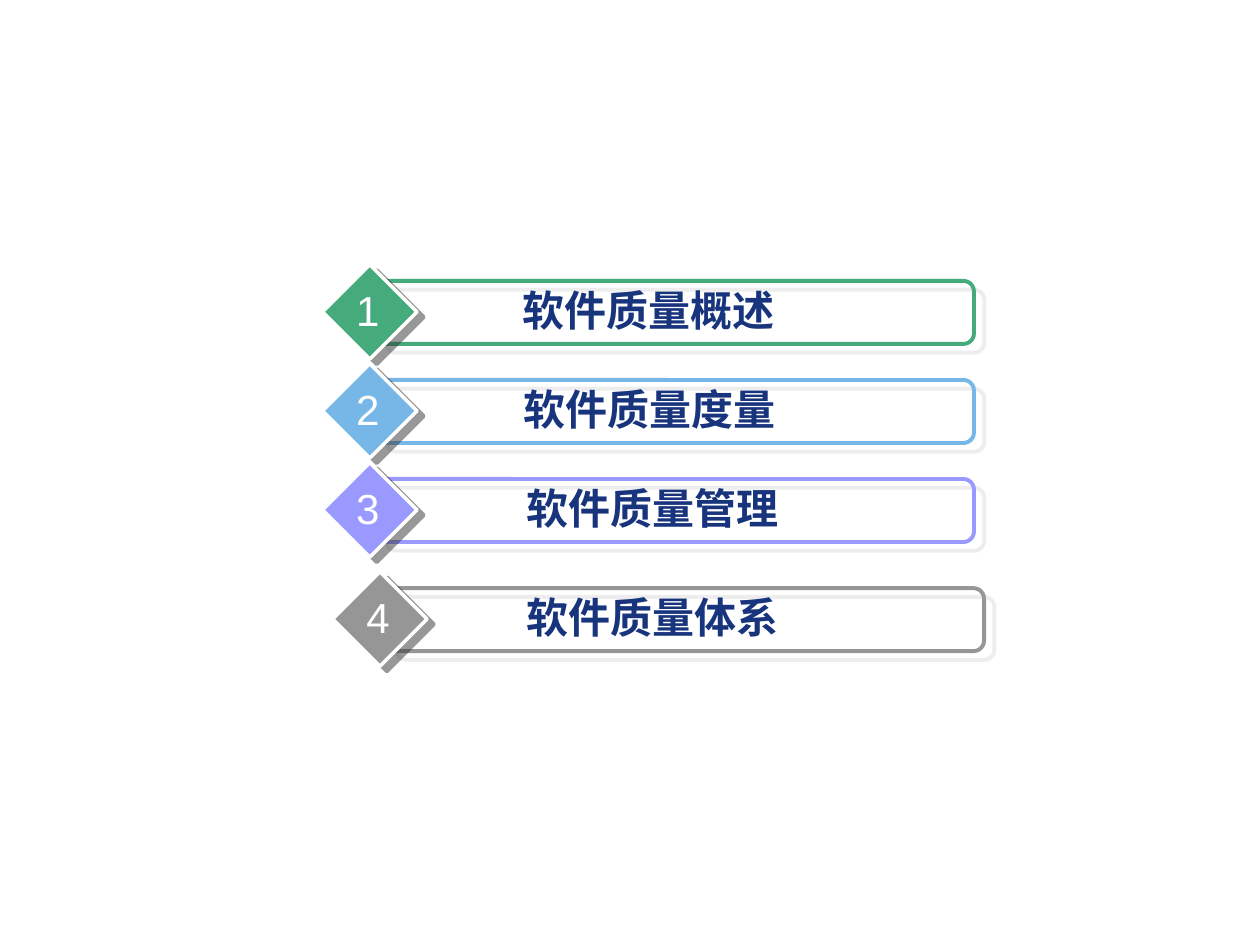
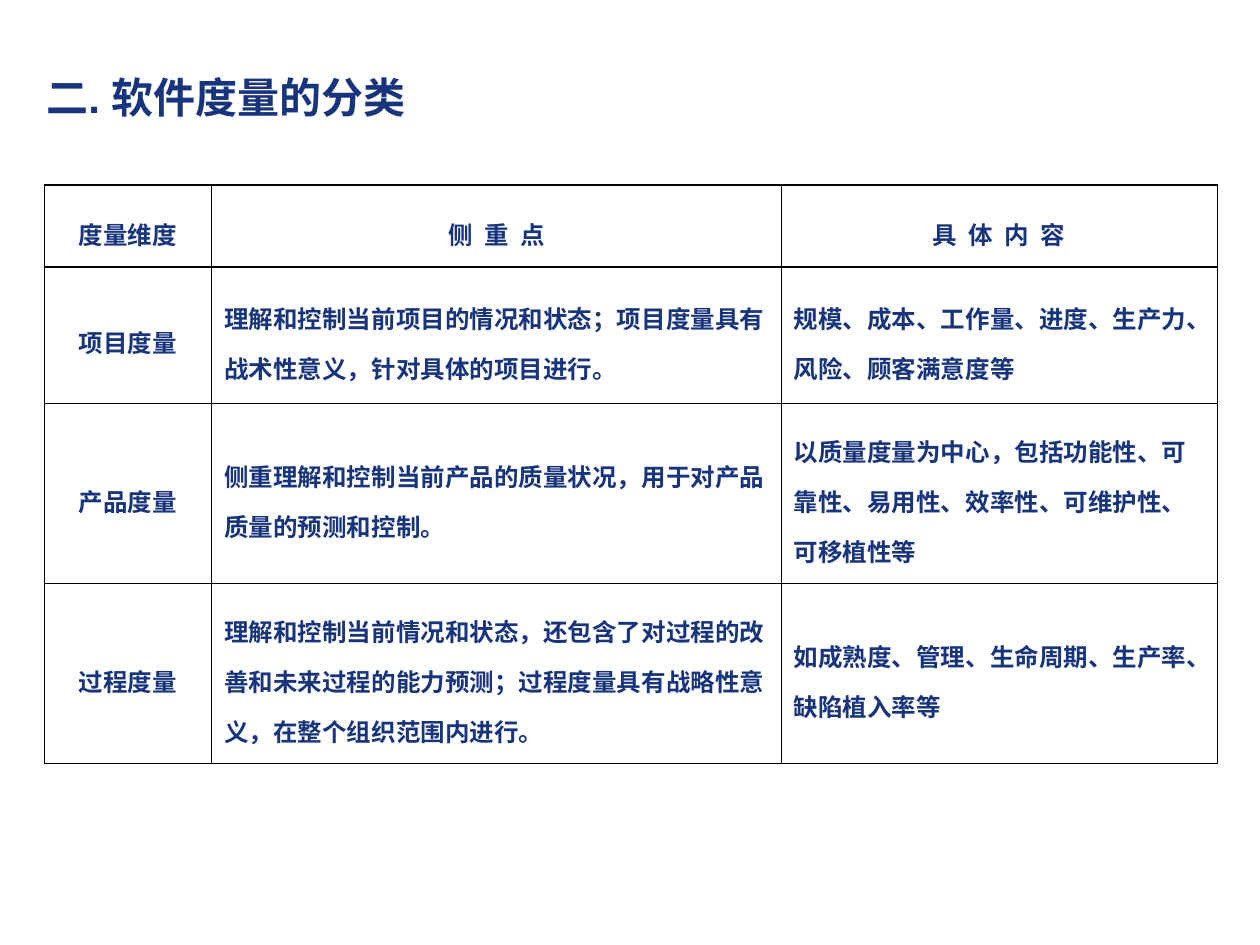
from dataclasses import dataclass
from typing import Any

from lxml.etree import SubElement
from pptx import Presentation
from pptx.dml.color import RGBColor
from pptx.enum.lang import MSO_LANGUAGE_ID
from pptx.enum.shapes import MSO_SHAPE
from pptx.enum.text import MSO_ANCHOR, MSO_AUTO_SIZE, PP_ALIGN
from pptx.oxml.ns import qn
from pptx.util import Inches, Pt

SLIDE_WIDTH = Inches(10)
SLIDE_HEIGHT = Inches(7.5)
COLUMN = SLIDE_WIDTH / 100
ROW = SLIDE_HEIGHT / 75

NAVY = RGBColor(0x17, 0x34, 0x7D)
GREEN = RGBColor(0x45, 0xAB, 0x7D)
SKY = RGBColor(0x77, 0xB7, 0xE7)
LILAC = RGBColor(0x99, 0x99, 0xFF)
GRAY = RGBColor(0x96, 0x96, 0x96)
WHITE = RGBColor(0xFF, 0xFF, 0xFF)
BLACK = RGBColor(0x00, 0x00, 0x00)
PALE_SHADE = RGBColor(0xDD, 0xDD, 0xDD)
DARK_SHADE = RGBColor(0x33, 0x33, 0x33)

EAST_ASIAN_FONT = "Noto Sans CJK SC"
TITLE_FORMAT = {"name": "Arial", "size": Pt(24), "bold": True}
NUMBER_FORMAT = {"name": "Arial", "size": Pt(24), "bold": False}
CELL_FORMAT = {"name": EAST_ASIAN_FONT, "size": Pt(14), "bold": True}

OUTER_RULE, INNER_RULE, EDGE_RULE = Pt(0.96), Pt(0.45), Pt(0.34)
HEADER_SPACING = 1.7


@dataclass(frozen=True)
class Area:
    left: float
    top: float
    width: float
    height: float

    def lengths(self) -> tuple[int, int, int, int]:
        return (round(self.left * COLUMN), round(self.top * ROW),
                round(self.width * COLUMN), round(self.height * ROW))


@dataclass(frozen=True)
class Shade:
    color: RGBColor
    distance: float
    angle: int


@dataclass(frozen=True)
class Entry:
    title: str
    color: RGBColor
    title_left: float
    shift: float = 0


BAR_SHADE = Shade(PALE_SHADE, 7.8, 40)
DIAMOND_SHADE = Shade(DARK_SHADE, 5, 37)
FIRST_BAR_TOP = 22.3
BAR_PITCH = 7.86

ENTRIES = (
    Entry("软件质量概述", GREEN, 32.7),
    Entry("软件质量度量", SKY, 32.8),
    Entry("软件质量管理", LILAC, 33),
    Entry("软件质量体系", GRAY, 33, 0.8),
)

TABLE_AREA = Area(3.5, 14.7, 93.1, 45.9)
TABLE_COLUMNS = (13.3, 45.2, 34.6)
TABLE_ROWS = (6.5, 10.8, 14.3, 14.3)
METRICS = (
    ("度量维度", "侧 重 点", "具 体 内 容"),
    ("项目度量",
     "理解和控制当前项目的情况和状态；项目度量具有战术性意义，针对具体的项目进行。",
     "规模、成本、工作量、进度、生产力、风险、顾客满意度等"),
    ("产品度量",
     "侧重理解和控制当前产品的质量状况，用于对产品质量的预测和控制。",
     "以质量度量为中心，包括功能性、可靠性、易用性、效率性、可维护性、可移植性等"),
    ("过程度量",
     "理解和控制当前情况和状态，还包含了对过程的改善和未来过程的能力预测；"
     "过程度量具有战略性意义，在整个组织范围内进行。",
     "如成熟度、管理、生命周期、生产率、缺陷植入率等"),
)


def write(frame: Any, text: str, values: dict[str, Any], color: RGBColor,
          align: PP_ALIGN, spacing: float = 0) -> Any:
    para = frame.paragraphs[0]
    para.alignment = align
    span = para.add_run()
    span.text = text
    for name, value in values.items():
        setattr(span.font, name, value)
    span.font.color.rgb = color
    span.font.language_id = MSO_LANGUAGE_ID.SIMPLIFIED_CHINESE
    properties = span._r.get_or_add_rPr()
    SubElement(properties, qn("a:ea"), typeface=EAST_ASIAN_FONT)
    if spacing:
        properties.set("spc", str(round(spacing * 100)))
    return para


def add_text(shapes: Any, area: Area, text: str, values: dict[str, Any],
             color: RGBColor, align: PP_ALIGN, wrap: bool = True) -> None:
    box = shapes.add_textbox(*area.lengths())
    box.text_frame.word_wrap = wrap
    box.text_frame.auto_size = MSO_AUTO_SIZE.NONE
    write(box.text_frame, text, values, color, align)


def add_shaded(shapes: Any, kind: MSO_SHAPE, area: Area, line_color: RGBColor,
               line_width: float, shade: Shade) -> Any:
    shape = shapes.add_shape(kind, *area.lengths())
    shape.fill.background()
    shape.line.color.rgb = line_color
    shape.line.width = Pt(line_width)
    shape.shadow.inherit = False
    effects = shape._element.spPr.find(qn("a:effectLst"))
    shadow = SubElement(effects, qn("a:outerShdw"), blurRad="0",
                        dist=str(Pt(shade.distance)), dir=str(shade.angle * 60000),
                        algn="ctr", rotWithShape="0")
    tint = SubElement(shadow, qn("a:srgbClr"), val=str(shade.color))
    SubElement(tint, qn("a:alpha"), val="50000")
    return shape


def add_entry(page: Any, index: int, entry: Entry) -> None:
    shapes = page.shapes.add_group_shape().shapes
    top = FIRST_BAR_TOP + index * BAR_PITCH + entry.shift
    add_shaded(shapes, MSO_SHAPE.ROUNDED_RECTANGLE,
               Area(29.8 + entry.shift, top, 47.5, 5), entry.color, 2.25, BAR_SHADE)
    diamond = add_shaded(shapes, MSO_SHAPE.DIAMOND,
                         Area(25.6 + entry.shift, top - 1.3, 7.5, 7.5),
                         WHITE, 2, DIAMOND_SHADE)
    diamond.fill.solid()
    diamond.fill.fore_color.rgb = entry.color
    add_text(shapes, Area(entry.title_left, top - 0.2, 37.5, 5), entry.title,
             TITLE_FORMAT, NAVY, PP_ALIGN.CENTER)
    add_text(shapes, Area(27.3 + entry.shift, top - 0.2, 3.8, 5), str(index + 1),
             NUMBER_FORMAT, WHITE, PP_ALIGN.CENTER, wrap=False)


def set_borders(cell: Any, row: int, column: int) -> None:
    last_row, last_column = len(TABLE_ROWS) - 1, len(TABLE_COLUMNS) - 1
    widths = {
        "a:lnL": EDGE_RULE if column == 0 else INNER_RULE,
        "a:lnR": EDGE_RULE if column == last_column else INNER_RULE,
        "a:lnT": OUTER_RULE if row <= 1 else INNER_RULE,
        "a:lnB": OUTER_RULE if row in (0, last_row) else INNER_RULE,
    }
    properties = cell._tc.get_or_add_tcPr()
    for tag, width in widths.items():
        border = SubElement(properties, qn(tag), w=str(width))
        fill = SubElement(border, qn("a:solidFill"))
        SubElement(fill, qn("a:srgbClr"), val=str(BLACK))


def add_metrics_table(page: Any) -> None:
    table = page.shapes.add_table(len(TABLE_ROWS), len(TABLE_COLUMNS),
                                  *TABLE_AREA.lengths()).table
    table.first_row = False
    table.horz_banding = False
    for column, width in zip(table.columns, TABLE_COLUMNS):
        column.width = round(width * COLUMN)
    for row, height in zip(table.rows, TABLE_ROWS):
        row.height = round(height * ROW)
    for row, texts in enumerate(METRICS):
        for column, text in enumerate(texts):
            cell = table.cell(row, column)
            cell.vertical_anchor = MSO_ANCHOR.MIDDLE
            set_borders(cell, row, column)
            cell.fill.background()
            heading = row == 0 or column == 0
            para = write(cell.text_frame, text, CELL_FORMAT, NAVY,
                         PP_ALIGN.CENTER if heading else PP_ALIGN.LEFT,
                         HEADER_SPACING if " " in text else 0)
            para.line_spacing = 1.4


def main() -> None:
    deck = Presentation()
    deck.slide_width = SLIDE_WIDTH
    deck.slide_height = SLIDE_HEIGHT
    blank = deck.slide_layouts[6]

    contents = deck.slides.add_slide(blank)
    for index, entry in enumerate(ENTRIES):
        add_entry(contents, index, entry)

    classes = deck.slides.add_slide(blank)
    add_text(classes.shapes, Area(2.7, 5.2, 93.1, 7.9), "二. 软件度量的分类",
             TITLE_FORMAT, NAVY, PP_ALIGN.LEFT)
    add_metrics_table(classes)

    deck.save("out.pptx")


if __name__ == "__main__":
    main()
